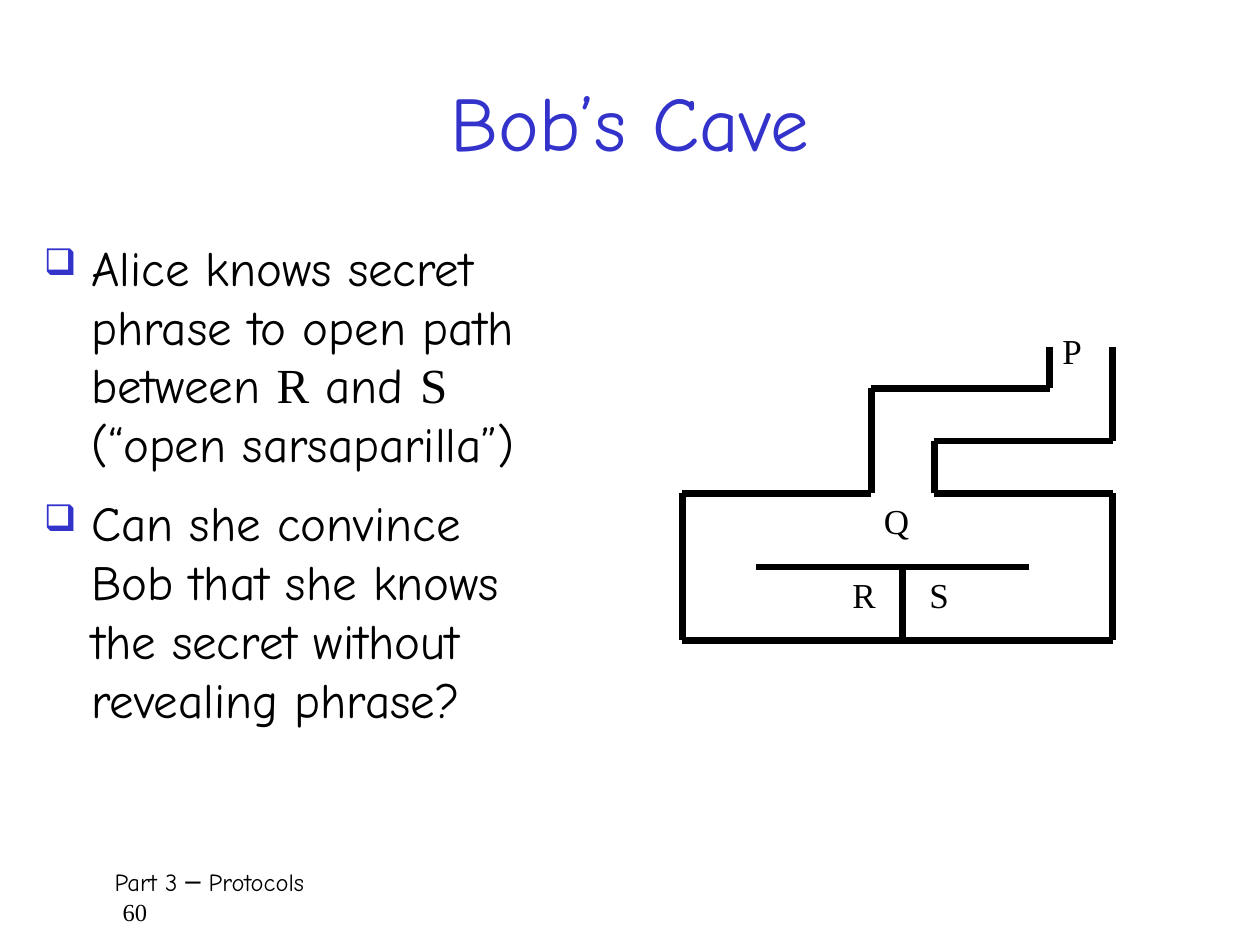
"""Build the Bob's Cave slide: two bullets beside a line plan of the cave."""
from itertools import pairwise

from lxml.etree import SubElement
from pptx import Presentation
from pptx.dml.color import RGBColor
from pptx.enum.shapes import MSO_CONNECTOR as Connector
from pptx.enum.text import MSO_ANCHOR as Anchor, PP_ALIGN as Align
from pptx.oxml.ns import qn
from pptx.util import Pt

COLORS = {"ink": "000000", "accent": "3333CC"}
HAND, SERIF = "Comic Neue", "Times New Roman"


def add_frame(left, top, width, height, wrap=True):
    box = slide.shapes.add_textbox(Pt(left), Pt(top), Pt(width), Pt(height))
    box.text_frame.word_wrap = wrap
    return box.text_frame


def add_run(paragraph, text, font, size, color="ink"):
    run = paragraph.add_run()
    run.text = text
    run.font.name = font
    run.font.size = Pt(size)
    run.font.color.rgb = RGBColor.from_string(COLORS[color])


deck = Presentation()
deck.slide_width, deck.slide_height = Pt(720), Pt(540)
slide = deck.slides.add_slide(deck.slide_layouts[6])

footer = add_frame(54, 492, 618, 36)
footer_lines = [("Part 3 ─ Protocols", HAND, 4.5), ("60", SERIF, 9)]
for number, (text, font, indent) in enumerate(footer_lines):
    line = footer.add_paragraph() if number else footer.paragraphs[0]
    line._p.get_or_add_pPr().set("marL", str(Pt(indent)))
    add_run(line, text, font, 14)

title = add_frame(54, 36, 612, 66)
title.vertical_anchor = Anchor.MIDDLE
title.paragraphs[0].alignment = Align.CENTER
add_run(title.paragraphs[0], "Bob’s Cave", HAND, 44, "accent")

bullets = [
    [
        ("Alice knows secret phrase to open path between ", HAND),
        ("R", SERIF),
        (" and ", HAND),
        ("S", SERIF),
        (" (“open sarsaparilla”)", HAND),
    ],
    [("Can she convince Bob that she knows the secret without revealing phrase?", HAND)],
]
body = add_frame(18, 132, 306, 342)
for number, pieces in enumerate(bullets):
    bullet = body.add_paragraph() if number else body.paragraphs[0]
    bullet.space_before, bullet.space_after = Pt(5.6), Pt(6)
    properties = bullet._p.get_or_add_pPr()
    properties.set("marL", str(Pt(27)))
    properties.set("indent", str(-Pt(27)))
    marker_color = SubElement(properties, qn("a:buClr"))
    SubElement(marker_color, qn("a:srgbClr"), val=COLORS["accent"])
    SubElement(properties, qn("a:buSzPct"), val="75000")
    SubElement(properties, qn("a:buChar"), char="❑")
    for text, font in pieces:
        add_run(bullet, text, font, 28)

outer_wall = [
    (600, 198), (600, 222), (498, 222), (498, 282), (390, 282), (390, 366),
    (636, 366), (636, 282), (534, 282), (534, 252), (636, 252), (636, 198),
]
secret_door = [(516, 366), (516, 324)]
inner_wall = [(432, 324), (588, 324)]
for wall in (outer_wall, secret_door, inner_wall):
    for start, end in pairwise(wall):
        segment = slide.shapes.add_connector(
            Connector.STRAIGHT, *map(Pt, start + end))
        segment.line.width = Pt(4)
        segment.line.color.rgb = RGBColor.from_string(COLORS["ink"])
        SubElement(segment._element.spPr, qn("a:effectLst"))

places = [("P", 600, 185), ("Q", 498, 282), ("R", 480, 324), ("S", 524, 324)]
for place, left, top in places:
    label = add_frame(left, top, 29, 31, wrap=False)
    add_run(label.paragraphs[0], place, SERIF, 20)

deck.save("out.pptx")
